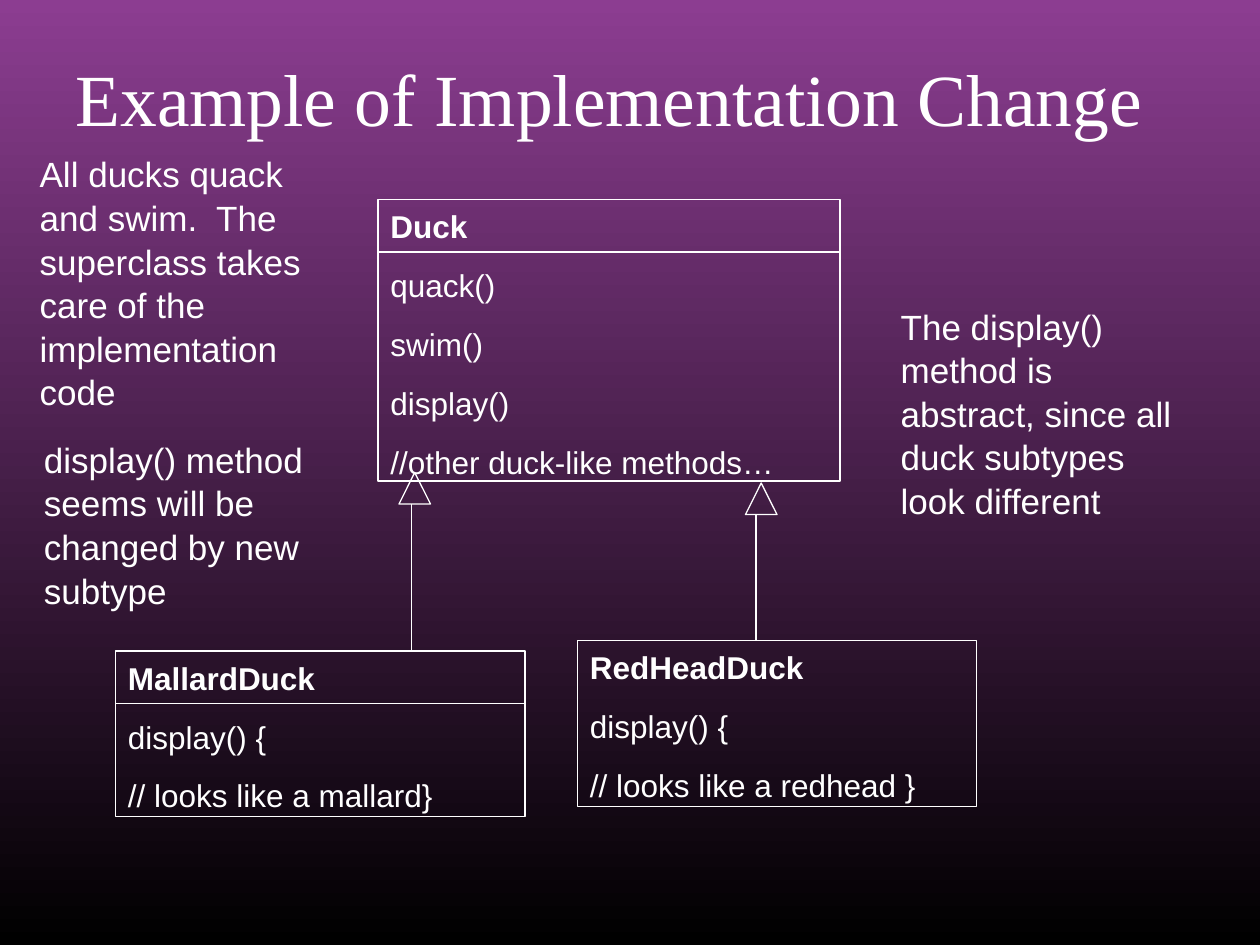
"""Build a slide with a class diagram of duck types and notes on implementation change."""
import pptx
import pptx.dml.color
import pptx.enum.shapes
import pptx.enum.text
import pptx.oxml.ns
import pptx.util
from lxml import etree

WHITE = pptx.dml.color.RGBColor(0xFF, 0xFF, 0xFF)
BLACK = pptx.dml.color.RGBColor(0x00, 0x00, 0x00)
PURPLE = pptx.dml.color.RGBColor(0x8C, 0x3D, 0x91)
COLUMNS, ROWS = 120, 90
SHAPES = pptx.enum.shapes.MSO_SHAPE


class DiagramSlide:
    def __init__(self, deck):
        self.column = deck.slide_width / COLUMNS
        self.row = deck.slide_height / ROWS
        self.slide = deck.slides.add_slide(deck.slide_layouts[5])
        self.shapes = self.slide.shapes

    def place(self, left, top, width, height):
        return (round(left * self.column), round(top * self.row),
                round(width * self.column), round(height * self.row))

    def background(self, bottom, top):
        fill = self.slide.background.fill
        fill.gradient()
        fill.gradient_angle = 90
        for stop, color in zip(fill.gradient_stops, (bottom, top)):
            stop.color.rgb = color

    def set_text(self, frame, lines, size, name="Arial", space=0, spacing=1.04, heading=False):
        frame.word_wrap = True
        frame.vertical_anchor = pptx.enum.text.MSO_ANCHOR.TOP
        frame.text = "\n".join(lines)
        for index, para in enumerate(frame.paragraphs):
            para.alignment = pptx.enum.text.PP_ALIGN.LEFT
            para.line_spacing = spacing
            para.space_before = pptx.util.Pt(space)
            para.font.name = name
            para.font.size = pptx.util.Pt(size)
            para.font.color.rgb = WHITE
            para.font.bold = heading and index == 0

    def title(self, text, *area):
        title = self.shapes.title
        title.left, title.top, title.width, title.height = self.place(*area)
        frame = title.text_frame
        frame.auto_size = pptx.enum.text.MSO_AUTO_SIZE.NONE
        frame.margin_top = pptx.util.Inches(0.12)
        self.set_text(frame, [text], 42, "Times New Roman", spacing=1)

    def note(self, text, *area):
        box = self.shapes.add_textbox(*self.place(*area))
        self.set_text(box.text_frame, [text], 20, space=12.5)

    def outline(self, kind, *area):
        shape = self.shapes.add_shape(kind, *self.place(*area))
        shape.shadow.inherit = False
        shape.fill.background()
        shape.line.color.rgb = WHITE
        shape.line.width = pptx.util.Pt(0.75)
        return shape

    def class_box(self, lines, left, top, width, height, divided=True):
        box = self.outline(SHAPES.RECTANGLE, left, top, width, height)
        self.set_text(box.text_frame, lines, 18, space=11.2, heading=True)
        if divided:
            self.line(left, top + 5, left + width, top + 5)

    def line(self, *ends):
        line = self.shapes.add_connector(
            pptx.enum.shapes.MSO_CONNECTOR.STRAIGHT, *self.place(*ends))
        line.line.color.rgb = WHITE
        line.line.width = pptx.util.Pt(0.75)
        etree.SubElement(line._element.spPr, pptx.oxml.ns.qn("a:effectLst"))

    def inheritance(self, left, top, stem, bottom):
        self.outline(SHAPES.ISOSCELES_TRIANGLE, left, top, 3, 3)
        self.line(stem, top + 3, stem, bottom)


def main():
    deck = pptx.Presentation()
    deck.slide_width = pptx.util.Inches(10)
    deck.slide_height = pptx.util.Inches(7.5)
    page = DiagramSlide(deck)
    page.background(BLACK, PURPLE)
    page.title("Example of Implementation Change", 6, 3.6, 108, 15)
    page.class_box(["Duck", "quack()", "swim()", "display()", "//other duck-like methods…"],
                   36, 19, 44, 26.8)
    page.class_box(["MallardDuck", "display() {", "// looks like a mallard}"],
                   11, 62, 39, 15.8)
    page.class_box(["RedHeadDuck", "display() {", "// looks like a redhead }"],
                   55, 61, 38, 15.8, divided=False)
    page.inheritance(38, 45, 39.2, 62)
    page.inheritance(71, 46, 72, 61)
    page.note("The display() method is abstract, since all duck subtypes look different",
              84.6, 28.3, 29, 21.2)
    page.note("display() method seems will be changed by new subtype", 3, 41, 31, 17.3)
    page.note("All ducks quack and swim.  The superclass takes care of the implementation code",
              2.6, 13.8, 29, 25.2)
    deck.save("out.pptx")


if __name__ == "__main__":
    main()
